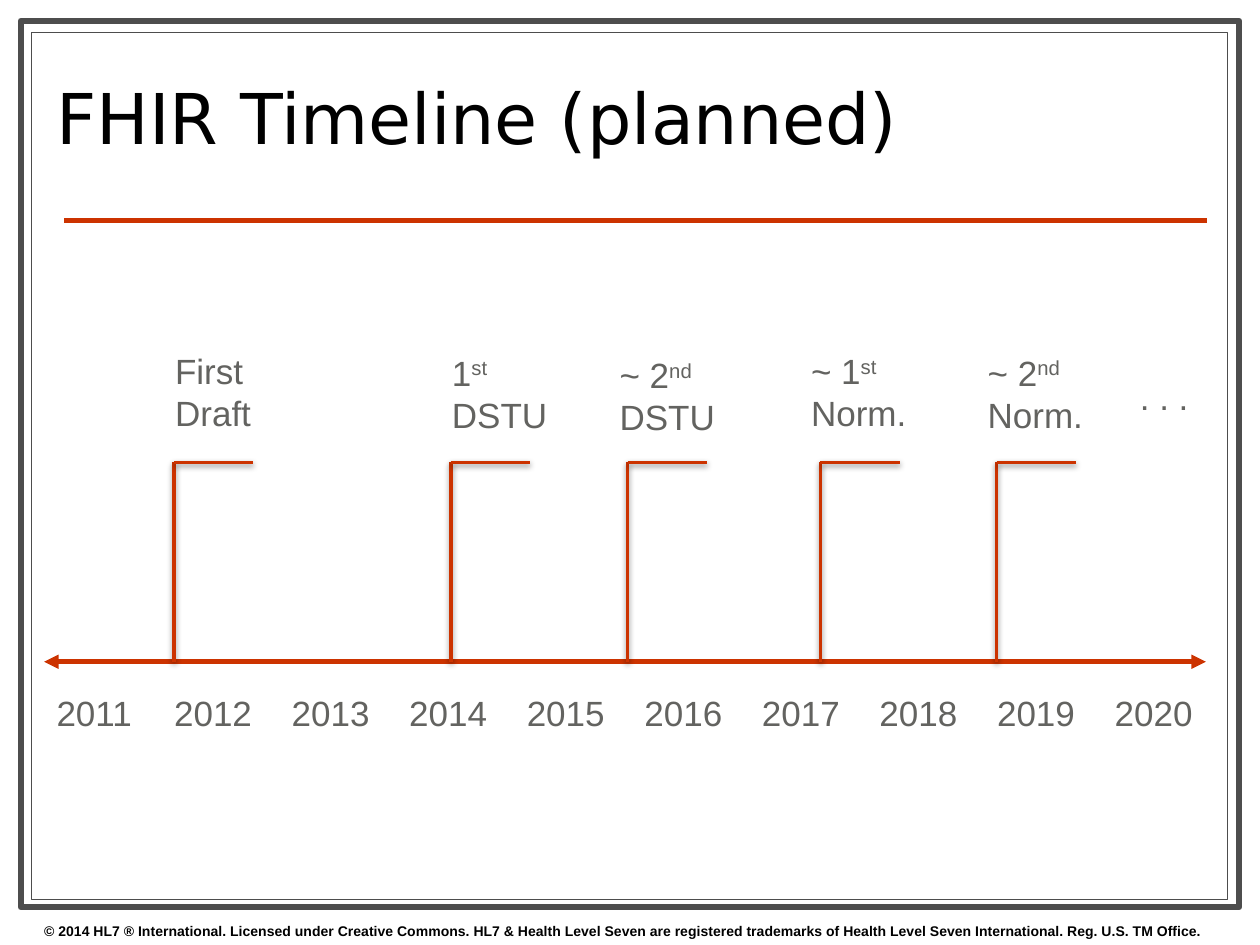
from lxml.etree import SubElement
from pptx import Presentation
from pptx.dml.color import RGBColor
from pptx.enum.shapes import MSO_CONNECTOR as Connector, MSO_SHAPE as Shape
from pptx.enum.text import MSO_ANCHOR as Anchor, MSO_AUTO_SIZE as AutoSize
from pptx.oxml.ns import qn
from pptx.util import Cm, Pt

COLORS = {"paper": "FFFFFF", "frame": "4D4D4D", "accent": "CC3300",
          "label": "636360", "ink": "000000"}


def add_line(shapes, x1, y1, x2, y2, weight, shadow=False):
    """Add an accent-coloured straight line (cm), optionally with a soft shadow."""
    line = shapes.add_connector(Connector.STRAIGHT, Cm(x1), Cm(y1), Cm(x2), Cm(y2))
    line.line.color.rgb = RGBColor.from_string(COLORS["accent"])
    line.line.width = Pt(weight)
    effects = SubElement(line._element.spPr, qn("a:effectLst"))
    if shadow:
        outer = SubElement(effects, qn("a:outerShdw"), blurRad="40000", dist="20000",
                           dir="5400000", rotWithShape="0")
        black = SubElement(outer, qn("a:srgbClr"), val=COLORS["ink"])
        SubElement(black, qn("a:alpha"), val="38000")
    return line


def add_text(left, top, width, height, lines, size=20, color="label", font="Arial",
             wrap=False):
    """Add a text box; each line is a list of runs, every second one superscript."""
    box = slide.shapes.add_textbox(Cm(left), Cm(top), Cm(width), Cm(height))
    frame = box.text_frame
    frame.word_wrap = wrap
    frame.auto_size = AutoSize.SHAPE_TO_FIT_TEXT
    for i, runs in enumerate(lines):
        paragraph = frame.paragraphs[0] if i == 0 else frame.add_paragraph()
        paragraph.font.size = Pt(size)
        paragraph.font.name = font
        paragraph.font.color.rgb = RGBColor.from_string(COLORS[color])
        for j, text in enumerate(runs):
            run = paragraph.add_run()
            run.text = text
            if j % 2:
                run.font._element.set("baseline", "30000")
    return frame


prs = Presentation()
prs.slide_width, prs.slide_height = Cm(25.4), Cm(19.05)
slide = prs.slides.add_slide(prs.slide_layouts[6])

# Double frame, title rule and copyright line
for left, top, width, height, weight in [(0.42, 0.42, 24.56, 17.87, 3.5),
                                         (0.64, 0.66, 24.1, 17.48, 0.75)]:
    border = slide.shapes.add_shape(Shape.RECTANGLE, Cm(left), Cm(top), Cm(width), Cm(height))
    border.shadow.inherit = False
    border.fill.solid()
    border.fill.fore_color.rgb = RGBColor.from_string(COLORS["paper"])
    border.line.color.rgb = RGBColor.from_string(COLORS["frame"])
    border.line.width = Pt(weight)

add_line(slide.shapes, 1.3, 4.45, 24.33, 4.45, 3)
notice = add_text(0.64, 18.47, 25.4, 0.58, [[
    "© 2014 HL7 ® International. Licensed under Creative Commons. HL7 & Health Level Seven "
    "are registered trademarks of Health Level Seven International. Reg. U.S. TM Office."]],
    size=8, color="ink", wrap=True)
notice.paragraphs[0].font.bold = True

title = add_text(0.89, 0.91, 18.21, 3.2, [["FHIR Timeline (planned)"]],
                 size=40, color="ink", font="DejaVu Sans", wrap=True)
title.auto_size = AutoSize.NONE
title.vertical_anchor = Anchor.MIDDLE
title.paragraphs[0].line_spacing = 0.8

# Time axis with a year every 2.37 cm
AXIS_Y, FLAG_Y, FLAG_WIDTH = 13.34, 9.32, 1.6
axis = add_line(slide.shapes, 0.89, AXIS_Y, 24.31, AXIS_Y, 2.75)
for end in ("a:headEnd", "a:tailEnd"):
    SubElement(axis.line._get_or_add_ln(), qn(end), type="triangle")

for i, year in enumerate(range(2011, 2021)):
    add_text(0.89 + 2.37 * i, 13.82, 2.11, 1.12, [[str(year)]])

# Milestones: flag position, label left, top and width, label lines
milestones = [
    (3.51, 3.28, 6.93, 2.06, [["First"], ["Draft"]]),
    (9.09, 8.86, 6.96, 2.46, [["1", "st"], ["DSTU"]]),
    (12.65, 12.24, 7.01, 2.46, [["~ 2", "nd"], ["DSTU"]]),
    (16.54, 16.1, 6.93, 2.44, [["~ 1", "st"], ["Norm."]]),
    (20.09, 19.66, 6.96, 2.44, [["~ 2", "nd"], ["Norm."]]),
]
for flag_x, left, top, width, lines in milestones:
    flag = slide.shapes.add_group_shape()
    add_line(flag.shapes, flag_x, FLAG_Y, flag_x, AXIS_Y, 2, shadow=True)
    add_line(flag.shapes, flag_x, FLAG_Y, flag_x + FLAG_WIDTH, FLAG_Y, 2, shadow=True)
    add_text(left, top, width, 1.96, lines)

add_text(22.73, 7.44, 1.5, 1.12, [[". . ."]])

prs.save("out.pptx")
